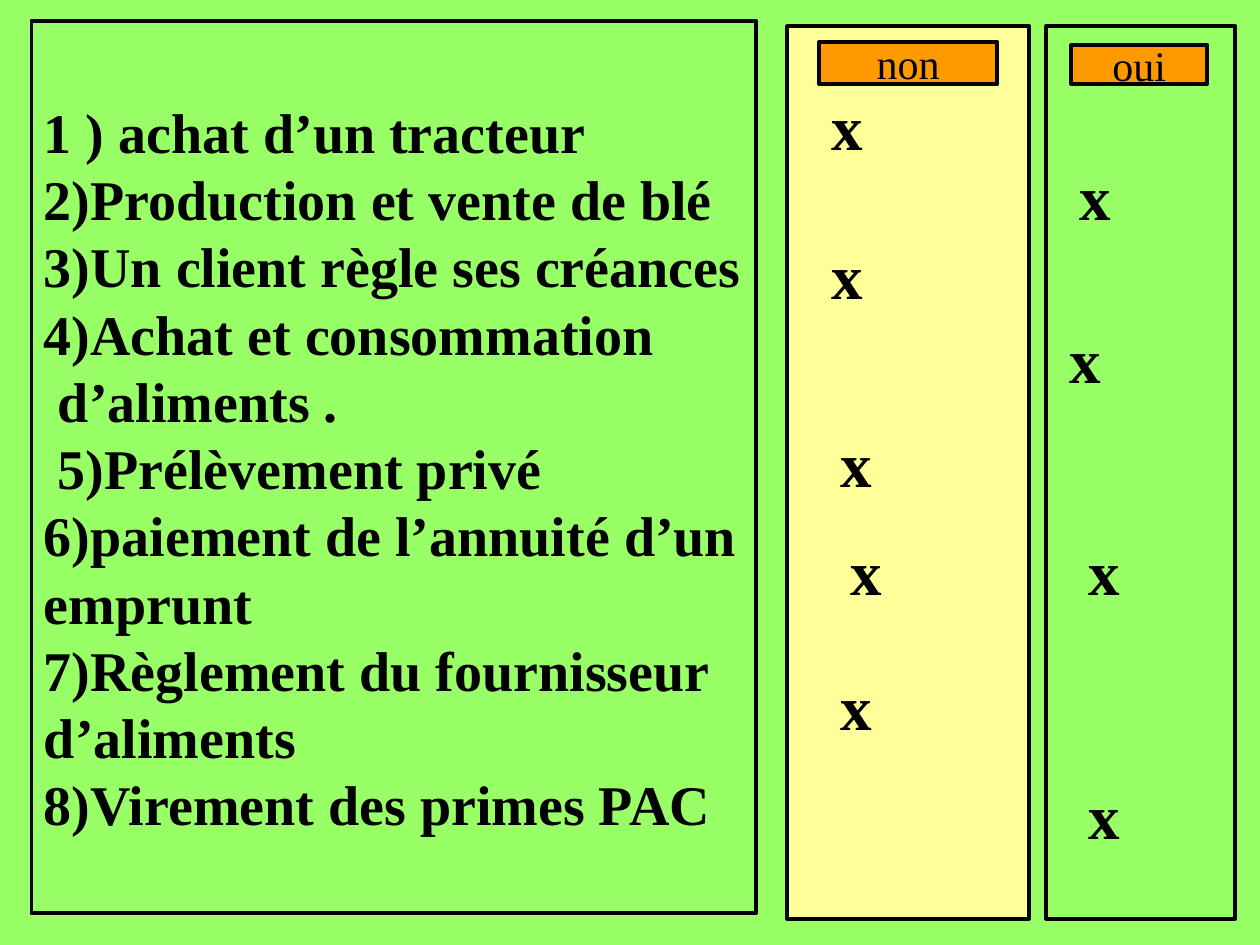
import pptx
import pptx.util
import pptx.dml.color
import pptx.enum.shapes
import pptx.enum.text

Pt = pptx.util.Pt
GREEN, YELLOW, ORANGE, BLACK = "99FF66", "FFFF99", "FF9900", "000000"

OPERATIONS = [
    "1 ) achat d’un tracteur",
    "2)Production et vente de blé",
    "3)Un client règle ses créances",
    "4)Achat et consommation",
    " d’aliments .",
    " 5)Prélèvement privé",
    "6)paiement de l’annuité d’un",
    "emprunt",
    "7)Règlement du fournisseur",
    "d’aliments",
    "8)Virement des primes PAC",
]

# Left, top, width and height of each cross
NON_MARKS = [
    (468, 60.5, 102, 22),
    (468, 145.5, 102, 23),
    (473, 253, 91, 22),
    (479, 315, 79, 22),
    (473, 389, 91, 28),
]
OUI_MARKS = [
    (610, 100, 79, 23),
    (604, 191, 91, 28),
    (615, 315, 73.5, 22),
    (615, 451.5, 73.5, 28),
]


def color(hex_code):
    return pptx.dml.color.RGBColor.from_string(hex_code)


def write(sp, lines, size, bold=False, align="LEFT", spacing=None):
    tf = sp.text_frame
    tf.word_wrap = False
    tf.vertical_anchor = pptx.enum.text.MSO_ANCHOR.MIDDLE
    for i, line in enumerate(lines):
        p = tf.add_paragraph() if i else tf.paragraphs[0]
        p.alignment = getattr(pptx.enum.text.PP_ALIGN, align)
        p.line_spacing = spacing
        r = p.add_run()
        r.text = line
        r.font.name = "Times New Roman"
        r.font.size = Pt(size)
        r.font.bold = bold
        r.font.color.rgb = color(BLACK)


def add_panel(s, box, fill=None):
    sp = s.shapes.add_shape(pptx.enum.shapes.MSO_SHAPE.RECTANGLE, *map(Pt, box))
    sp.shadow.inherit = False
    if fill:
        sp.fill.solid()
        sp.fill.fore_color.rgb = color(fill)
    else:
        sp.fill.background()
    sp.line.color.rgb = color(BLACK)
    sp.line.width = Pt(2.25)
    return sp


def add_mark(s, box):
    write(s.shapes.add_textbox(*map(Pt, box)), ["x"], size=36, bold=True)


def main():
    prs = pptx.Presentation()
    prs.slide_width, prs.slide_height = Pt(720), Pt(540)
    s = prs.slides.add_slide(prs.slide_layouts[6])
    s.background.fill.solid()
    s.background.fill.fore_color.rgb = color(GREEN)

    # List of operations
    operations = add_panel(s, (18, 12, 414, 510))
    write(operations, OPERATIONS, size=32, bold=True, spacing=Pt(38.4))

    # Answer columns
    add_panel(s, (450, 15, 138, 510), YELLOW)
    add_panel(s, (598, 15, 108, 510), GREEN)

    # Column headings
    for label, box in (("non", (468, 24, 102, 24)), ("oui", (612, 26, 78, 22))):
        write(add_panel(s, box, ORANGE), [label], size=24, align="CENTER")

    # Crosses
    for box in NON_MARKS + OUI_MARKS:
        add_mark(s, box)

    prs.save("out.pptx")


if __name__ == "__main__":
    main()
